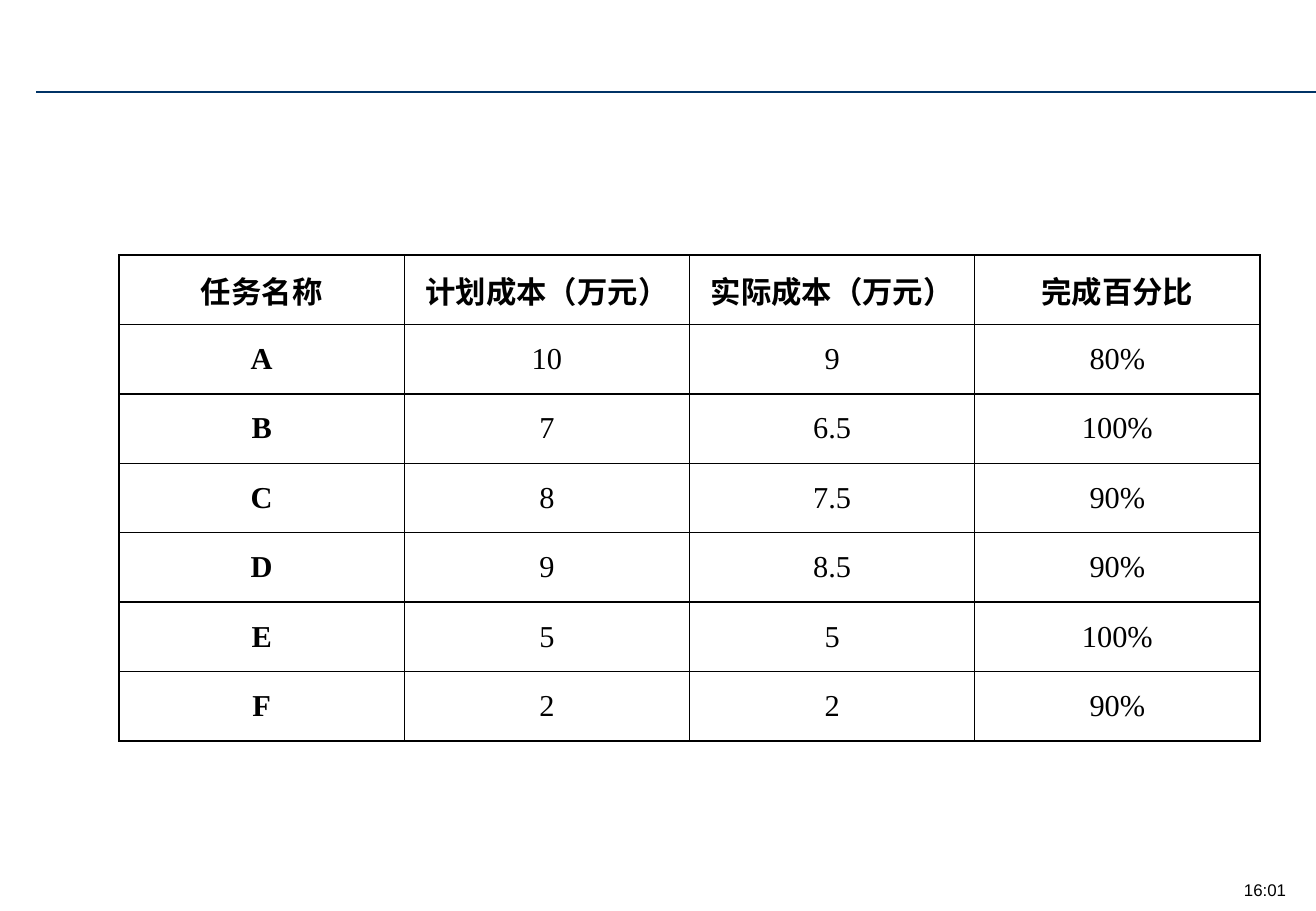
from lxml.etree import SubElement
from pptx import Presentation
from pptx.dml.color import RGBColor
from pptx.enum.shapes import MSO_CONNECTOR
from pptx.enum.text import MSO_ANCHOR, MSO_AUTO_SIZE, PP_ALIGN
from pptx.oxml.ns import qn
from pptx.util import Inches, Pt

HEADER = ("任务名称", "计划成本（万元）", "实际成本（万元）", "完成百分比")
TASKS = [
    ("A", "10", "9", "80%"),
    ("B", "7", "6.5", "100%"),
    ("C", "8", "7.5", "90%"),
    ("D", "9", "8.5", "90%"),
    ("E", "5", "5", "100%"),
    ("F", "2", "2", "90%"),
]
CLOCK = "16:01"

BLACK = RGBColor(0, 0, 0)
WHITE = RGBColor(0xFF, 0xFF, 0xFF)
NAVY = RGBColor(0x00, 0x33, 0x66)

SLIDE_WIDTH, SLIDE_HEIGHT = Inches(10.83), Inches(7.5)
RULE_LEFT, RULE_TOP = Inches(0.3), Inches(0.76)
TABLE_LEFT, TABLE_TOP = Inches(0.98), Inches(2.1)
TABLE_WIDTH, TABLE_HEIGHT = Inches(9.39), Inches(4)

CELL_FORMAT = {
    "margin_left": Inches(0.08),
    "margin_right": Inches(0.08),
    "margin_top": 0,
    "margin_bottom": 0,
    "vertical_anchor": MSO_ANCHOR.MIDDLE,
}


def write_centred(frame, text, font_format):
    paragraph = frame.paragraphs[0]
    paragraph.alignment = PP_ALIGN.CENTER
    run = paragraph.add_run()
    run.text = text
    for key, value in font_format.items():
        setattr(run.font, key, value)
    run.font.color.rgb = BLACK


def add_borders(cell):
    """Border elements have to precede the cell's fill."""
    properties = cell._tc.get_or_add_tcPr()
    for side in ("a:lnL", "a:lnR", "a:lnT", "a:lnB"):
        border = SubElement(properties, qn(side), w=str(Pt(1)))
        fill = SubElement(border, qn("a:solidFill"))
        SubElement(fill, qn("a:srgbClr"), val=str(BLACK))


def add_rule(slide):
    rule = slide.shapes.add_connector(
        MSO_CONNECTOR.STRAIGHT, RULE_LEFT, RULE_TOP, SLIDE_WIDTH, RULE_TOP)
    rule.line.color.rgb = NAVY
    rule.line.width = Pt(1)
    SubElement(rule._element.spPr, qn("a:effectLst"))


def add_clock(slide):
    frame = slide.shapes.add_textbox(
        Inches(10.1), Inches(7.19), Inches(0.62), Inches(0.27)).text_frame
    frame.word_wrap = True
    frame.auto_size = MSO_AUTO_SIZE.SHAPE_TO_FIT_TEXT
    write_centred(frame, CLOCK, {"name": "Arial", "size": Pt(10)})


def add_cost_table(slide):
    rows = [HEADER, *TASKS]
    table = slide.shapes.add_table(
        len(rows), len(HEADER),
        TABLE_LEFT, TABLE_TOP, TABLE_WIDTH, TABLE_HEIGHT).table
    table.horz_banding = False
    for row_index, row in enumerate(rows):
        for column_index, text in enumerate(row):
            cell = table.cell(row_index, column_index)
            for key, value in CELL_FORMAT.items():
                setattr(cell, key, value)
            add_borders(cell)
            cell.fill.solid()
            cell.fill.fore_color.rgb = WHITE
            write_centred(cell.text_frame, text, {
                "name": "Times New Roman",
                "size": Pt(18),
                "bold": row_index == 0 or column_index == 0,
            })


def main():
    presentation = Presentation()
    presentation.slide_width = SLIDE_WIDTH
    presentation.slide_height = SLIDE_HEIGHT
    slide = presentation.slides.add_slide(presentation.slide_layouts[6])
    add_rule(slide)
    add_clock(slide)
    add_cost_table(slide)
    presentation.save("out.pptx")


if __name__ == "__main__":
    main()
